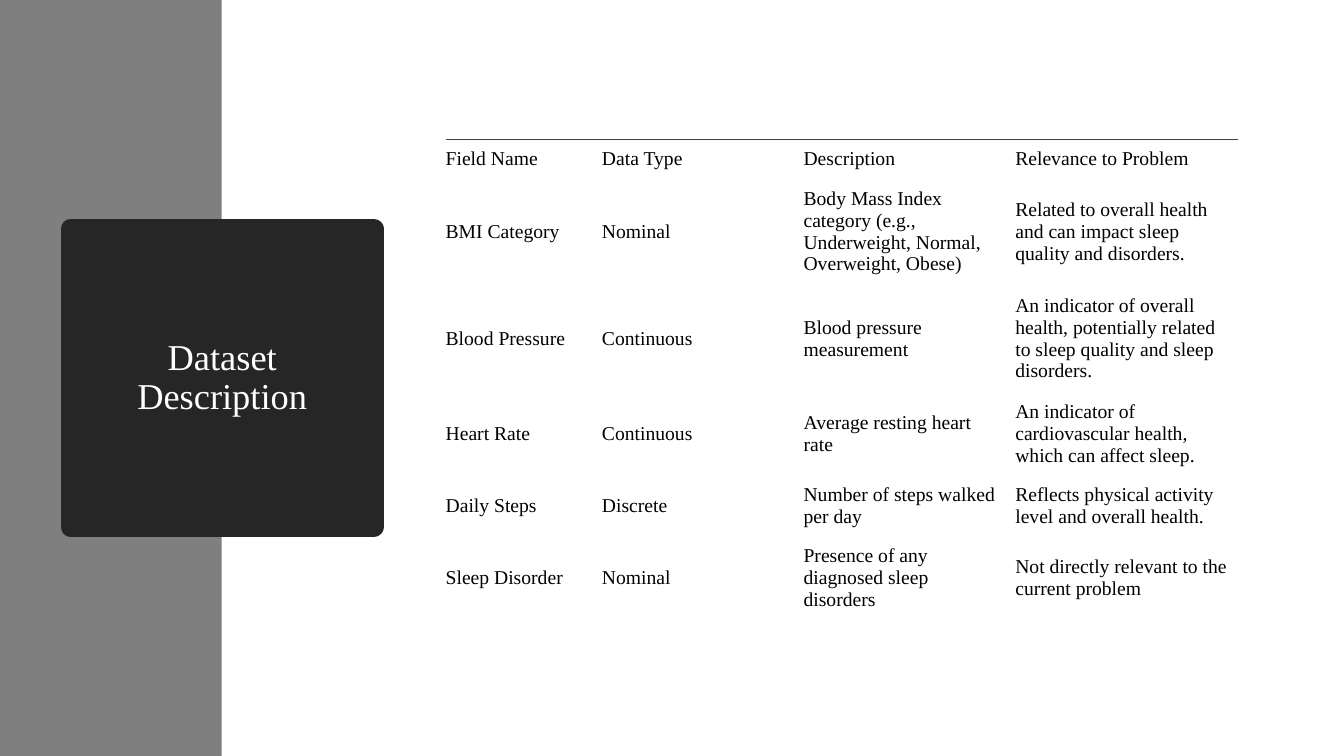
from lxml.etree import SubElement
from pptx import Presentation
from pptx.dml.color import RGBColor
from pptx.enum.shapes import MSO_SHAPE as Preset
from pptx.enum.text import MSO_ANCHOR as Anchor, PP_ALIGN as Align
from pptx.oxml.ns import qn
from pptx.util import Inches, Pt

FONT = "Times New Roman"
NO_GRID_STYLE = "{2D5ABB26-0587-4C30-8999-92F81FD0307C}"
GREY, DARK, RULE, WHITE, BLACK = "7F7F7F", "262626", "404040", "FFFFFF", "000000"

TITLE = "Dataset Description"
FIELDS = [
    ("Field Name", "Data Type", "Description", "Relevance to Problem"),
    ("BMI Category", "Nominal",
     "Body Mass Index category (e.g., Underweight, Normal, Overweight, Obese)",
     "Related to overall health and can impact sleep quality and disorders."),
    ("Blood Pressure", "Continuous", "Blood pressure measurement",
     "An indicator of overall health, potentially related to sleep quality "
     "and sleep disorders."),
    ("Heart Rate", "Continuous", "Average resting heart rate",
     "An indicator of cardiovascular health, which can affect sleep."),
    ("Daily Steps", "Discrete", "Number of steps walked per day",
     "Reflects physical activity level and overall health."),
    ("Sleep Disorder", "Nominal", "Presence of any diagnosed sleep disorders",
     "Not directly relevant to the current problem"),
]
COLUMN_WIDTHS = (1.55, 2, 2.1, 2.21)
ROW_HEIGHTS = (0.39, 1.06, 1.06, 0.83, 0.6, 0.83)

BAND_BOX = (0, 0, 2.2, 7.5)
TITLE_BOX = (0.7, 2.27, 3.01, 2.96)
TABLE_ORIGIN = (4.42, 1.38)
TITLE_MARGINS = {"margin_left": 0.44, "margin_right": 0.44}
CELL_MARGINS = {"margin_left": 0, "margin_right": 0.1,
                "margin_top": 0.05, "margin_bottom": 0.05}


def rgb(code):
    return RGBColor.from_string(code)


def set_lengths(target, lengths):
    for key, value in lengths.items():
        setattr(target, key, Inches(value))


def write(paragraph, text, size, color):
    run = paragraph.add_run()
    run.text = text
    for key, value in {"name": FONT, "size": Pt(size)}.items():
        setattr(run.font, key, value)
    run.font.color.rgb = rgb(color)


def add_block(slide, box, color):
    block = slide.shapes.add_shape(Preset.RECTANGLE, *map(Inches, box))
    block.shadow.inherit = False
    block.fill.solid()
    block.fill.fore_color.rgb = rgb(color)
    block.line.fill.background()
    return block


def add_title(slide):
    """Draw the title block; its thick round-joined outline rounds the corners."""
    block = add_block(slide, TITLE_BOX, DARK)
    block.line.color.rgb = rgb(DARK)
    block.line.width = Pt(13.75)
    SubElement(block.line._ln, qn("a:round"))
    frame = block.text_frame
    frame.word_wrap = True
    frame.vertical_anchor = Anchor.MIDDLE
    set_lengths(frame, TITLE_MARGINS)
    heading = frame.paragraphs[0]
    heading.alignment = Align.CENTER
    heading.line_spacing = 0.9
    write(heading, TITLE, 26, WHITE)


def add_top_rule(cell):
    rule = SubElement(cell._tc.get_or_add_tcPr(), qn("a:lnT"), w=str(Pt(0.75)))
    fill = SubElement(rule, qn("a:solidFill"))
    SubElement(fill, qn("a:srgbClr"), val=RULE)


def add_field_table(slide):
    size = sum(COLUMN_WIDTHS), sum(ROW_HEIGHTS)
    table = slide.shapes.add_table(len(FIELDS), len(COLUMN_WIDTHS),
                                   *map(Inches, TABLE_ORIGIN + size)).table
    table.first_row = table.horz_banding = False
    table._tbl.tblPr.find(qn("a:tableStyleId")).text = NO_GRID_STYLE
    for column, width in zip(table.columns, COLUMN_WIDTHS):
        column.width = Inches(width)
    for r, (field, height) in enumerate(zip(FIELDS, ROW_HEIGHTS)):
        table.rows[r].height = Inches(height)
        for c, text in enumerate(field):
            cell = table.cell(r, c)
            cell.vertical_anchor = Anchor.MIDDLE
            set_lengths(cell, CELL_MARGINS)
            if r == 0:
                add_top_rule(cell)
            cell.fill.background()
            write(cell.text_frame.paragraphs[0], text, 14, BLACK)


def main():
    deck = Presentation()
    deck.slide_width, deck.slide_height = Inches(13.33), Inches(7.5)
    slide = deck.slides.add_slide(deck.slide_layouts[6])
    add_block(slide, BAND_BOX, GREY)
    add_title(slide)
    add_field_table(slide)
    deck.save("out.pptx")


if __name__ == "__main__":
    main()
